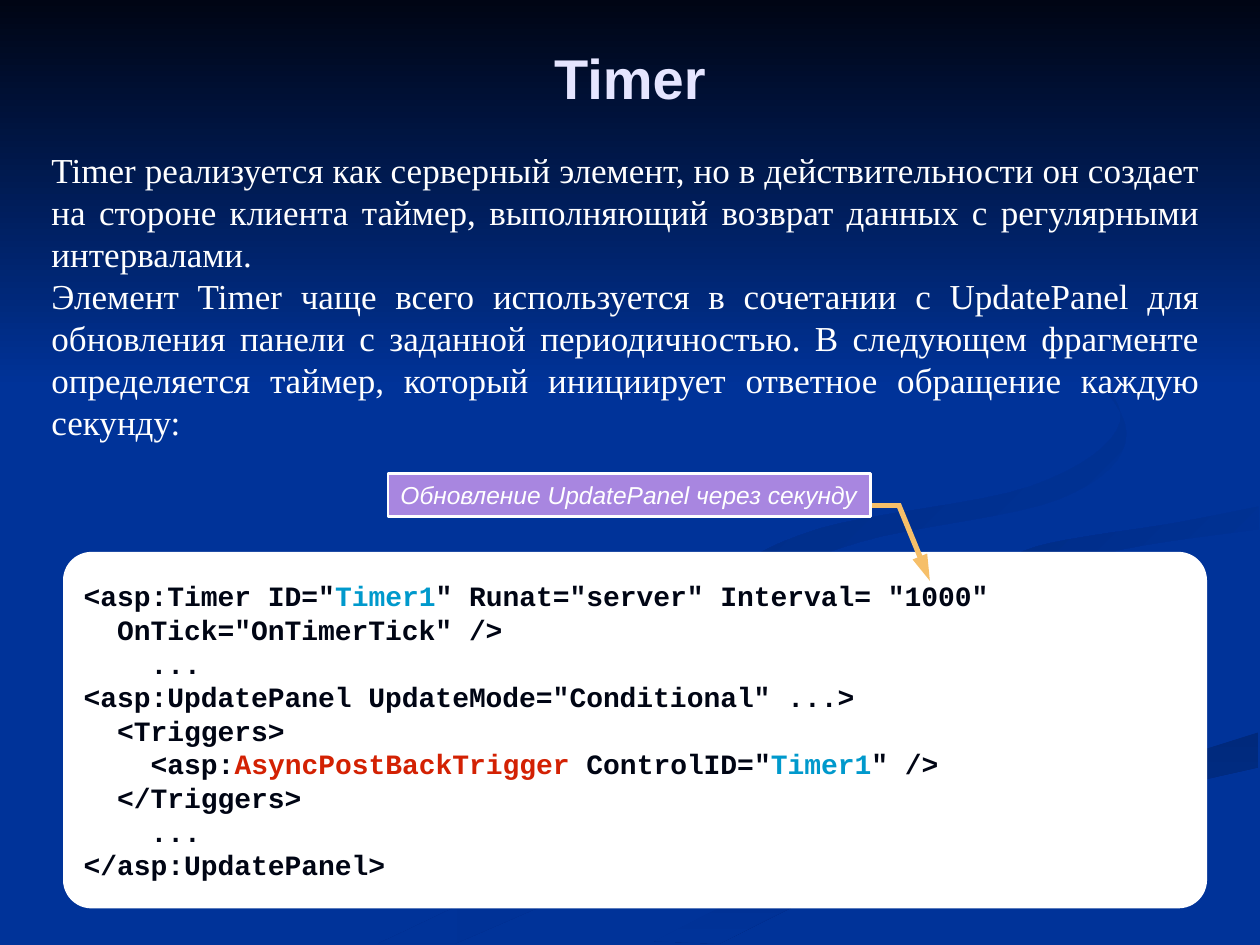
from itertools import chain
from pptx import Presentation
from pptx.dml.color import RGBColor
from pptx.enum.shapes import MSO_CONNECTOR, MSO_SHAPE
from pptx.enum.text import MSO_ANCHOR, PP_ALIGN
from pptx.oxml.ns import qn
from pptx.util import Inches, Pt
from lxml.etree import SubElement

HUES = {
    "navy": "003399", "night": "000514", "white": "FFFFFF", "pale": "E5E5FF",
    "violet": "A886E0", "amber": "F6BF69", "cyan": "0099CC", "red": "D32103",
    "dusk": "002E8A", "deep": "00297C", "shade": "002C85", "dim": "002B81",
}
MARKS = {"Timer1": "cyan", "AsyncPostBackTrigger": "red"}
STYLES = {
    "title": dict(size=32, name="Arial", hue="pale", bold=True, align=PP_ALIGN.CENTER),
    "body": dict(size=20, name="Times New Roman", hue="white", align=PP_ALIGN.JUSTIFY),
    "code": dict(size=16, name="Courier New", hue="night", bold=True,
                 anchor=MSO_ANCHOR.MIDDLE),
    "note": dict(size=14, name="Arial", hue="white", italic=True, wrap=False),
}

BODY = [
    "Timer реализуется как серверный элемент, но в действительности он создает "
    "на стороне клиента таймер, выполняющий возврат данных с регулярными интервалами.",
    "Элемент Timer чаще всего используется в сочетании с UpdatePanel для обновления "
    "панели с заданной периодичностью. В следующем фрагменте определяется таймер, "
    "который инициирует ответное обращение каждую секунду:",
]
CODE = [
    '<asp:Timer ID="|Timer1|" Runat="server" Interval= "1000"',
    '  OnTick="OnTimerTick" />',
    '    ...',
    '<asp:UpdatePanel UpdateMode="Conditional" ...>',
    '  <Triggers>',
    '    <asp:|AsyncPostBackTrigger| ControlID="|Timer1|" />',
    '  </Triggers>',
    '    ...',
    '</asp:UpdatePanel>',
]

SHORE = [(5.19, 7.47), (6.3, 6.93), (7.65, 6.47), (9.04, 6.1), (9.99, 5.81)]
BANK = [(9.99, 6.09), (8.21, 6.51), (6.7, 7.02), (5.71, 7.49)]
MOUTH = [(7.81, 4.6), (8.22, 4.34), (9.33, 4.15), (9.99, 4.02)]
LIP = [(9.99, 5.38), (9.04, 5.19), (8.17, 4.92)] + MOUTH
RIVER = [(9.99, 3.87), (8.74, 4.08), (7.7, 4.27), (7.25, 4.64), (7.75, 5.03),
         (8.71, 5.3), (9.43, 5.7), (8.92, 6.05), (7.04, 6.55), (4.77, 7.49)]
CREEK = [(9.99, 4.2), (8.78, 4.39), (8.05, 4.72), (8.26, 4.96)]
CURL_OUT = [(7.62, 2.33), (8.43, 2.75), (8.94, 3.44), (8.41, 3.96), (6.83, 4.3),
            (5.93, 4.7), (6.22, 5)]
CURL_IN = [(6.22, 5), (5.77, 4.62), (6.49, 4.2), (8.18, 3.86), (8.89, 3.35),
           (8.46, 2.79), (7.62, 2.33)]
BROOK_OUT = [(5.75, 4.59), (6.02, 4.9), (6.82, 5.19), (7.81, 5.53), (8, 5.81),
             (7.4, 6.18), (5.64, 6.65), (3.61, 7.49)]
BROOK_IN = [(3, 7.49), (4.99, 6.61), (7.27, 6.02), (7.86, 5.66), (7.41, 5.39),
            (6.31, 5.05), (5.7, 4.7)]

WAVES = [
    ([BROOK_OUT, BROOK_IN], ["dusk", "navy"], 180),
    ([SHORE, BANK], ["deep", "navy"], 270),
    ([SHORE, LIP, RIVER], ["navy", "navy"], 0),
    ([MOUTH, CREEK], ["navy", "shade"], 135),
    ([CURL_OUT, CURL_IN], ["navy", "dim"], 135),
]


def tint(name):
    return RGBColor.from_string(HUES[name])


def blend(a, b, c, d, t):
    """Return the Catmull-Rom value between b and c."""
    return b + t / 2 * (c - a + t * (2 * a - 5 * b + 4 * c - d
                                     + t * (3 * (b - c) + d - a)))


def smooth(knots, steps=8):
    """Return a smooth run of points through the knots."""
    pad = knots[:1] + knots + knots[-1:]
    curve = [tuple(blend(*axis, step / steps) for axis in zip(*four))
             for four in zip(pad, pad[1:], pad[2:], pad[3:])
             for step in range(steps)]
    return curve + knots[-1:]


class Deck:
    """Hold the slide and draw its elements in one style."""

    def __init__(self):
        self.show = Presentation()
        self.show.slide_width, self.show.slide_height = Inches(10), Inches(7.5)
        self.slide = self.show.slides.add_slide(self.show.slide_layouts[6])
        self.shapes = self.slide.shapes
        self.paint(self.slide.background.fill, "navy")

    def paint(self, fill, hue):
        fill.solid()
        fill.fore_color.rgb = tint(hue)

    def fade(self, shape, hues, turn):
        shape.shadow.inherit = False
        shape.line.fill.background()
        shape.fill.gradient()
        shape.fill.gradient_angle = turn
        for stop, hue in zip(shape.fill.gradient_stops, hues):
            stop.color.rgb = tint(hue)

    def wave(self, edges, hues, turn):
        dots = [tuple(map(Inches, dot)) for dot in chain(*map(smooth, edges))]
        pen = self.shapes.build_freeform(*dots[0])
        pen.add_line_segments(dots[1:], close=True)
        self.fade(pen.convert_to_shape(), hues, turn)

    def sky(self, place, hues):
        box = self.shapes.add_shape(MSO_SHAPE.RECTANGLE, *map(Inches, place))
        self.fade(box, hues, 270)

    def text(self, box, lines, size, name, hue, align=PP_ALIGN.LEFT,
             anchor=MSO_ANCHOR.TOP, wrap=True, bold=False, italic=False):
        frame = box.text_frame
        frame.word_wrap, frame.vertical_anchor = wrap, anchor
        for row, line in enumerate(lines):
            para = frame.add_paragraph() if row else frame.paragraphs[0]
            para.alignment, para.line_spacing = align, Pt(size * 1.2)
            for part in line.split("|"):
                run = para.add_run()
                run.text = part
                font = run.font
                font.size, font.name = Pt(size), name
                font.bold, font.italic = bold, italic
                font.color.rgb = tint(MARKS.get(part, hue))

    def label(self, place, lines, style):
        box = self.shapes.add_textbox(*map(Inches, place))
        self.text(box, lines, **STYLES[style])

    def panel(self, kind, place, hue, lines, style, edge=None, bend=None):
        box = self.shapes.add_shape(kind, *map(Inches, place))
        box.shadow.inherit = False
        self.paint(box.fill, hue)
        if edge:
            self.paint(box.line.fill, edge)
            box.line.width = Pt(1.5)
        else:
            box.line.fill.background()
        if bend:
            box.adjustments[0] = bend
        self.text(box, lines, **STYLES[style])

    def line(self, ends, hue, head=False):
        link = self.shapes.add_connector(MSO_CONNECTOR.STRAIGHT, *map(Inches, ends))
        self.paint(link.line.fill, hue)
        link.line.width = Pt(3)
        props = link._element.spPr
        if head:
            SubElement(props.find(qn("a:ln")), qn("a:tailEnd"),
                       type="triangle", w="med", len="lg")
        SubElement(props, qn("a:effectLst"))


def main():
    deck = Deck()
    for edges, hues, turn in WAVES:
        deck.wave(edges, hues, turn)
    deck.sky((0, 0, 10, 3.08), ["night", "navy"])

    deck.label((0.5, 0.3, 9, 0.63), ["Timer"], "title")
    deck.panel(MSO_SHAPE.ROUNDED_RECTANGLE, (0.5, 4.38, 9.08, 2.83), "white",
               CODE, "code", bend=0.08)
    deck.label((0.31, 1.13, 9.31, 2.44), BODY, "body")
    deck.panel(MSO_SHAPE.RECTANGLE, (3.08, 3.76, 3.83, 0.34), "violet",
               ["Обновление UpdatePanel через секунду"], "note", edge="white")
    deck.line((6.92, 4.01, 7.15, 4.01), "amber")
    deck.line((7.13, 4, 7.38, 4.61), "amber", head=True)
    deck.show.save("out.pptx")


if __name__ == "__main__":
    main()
